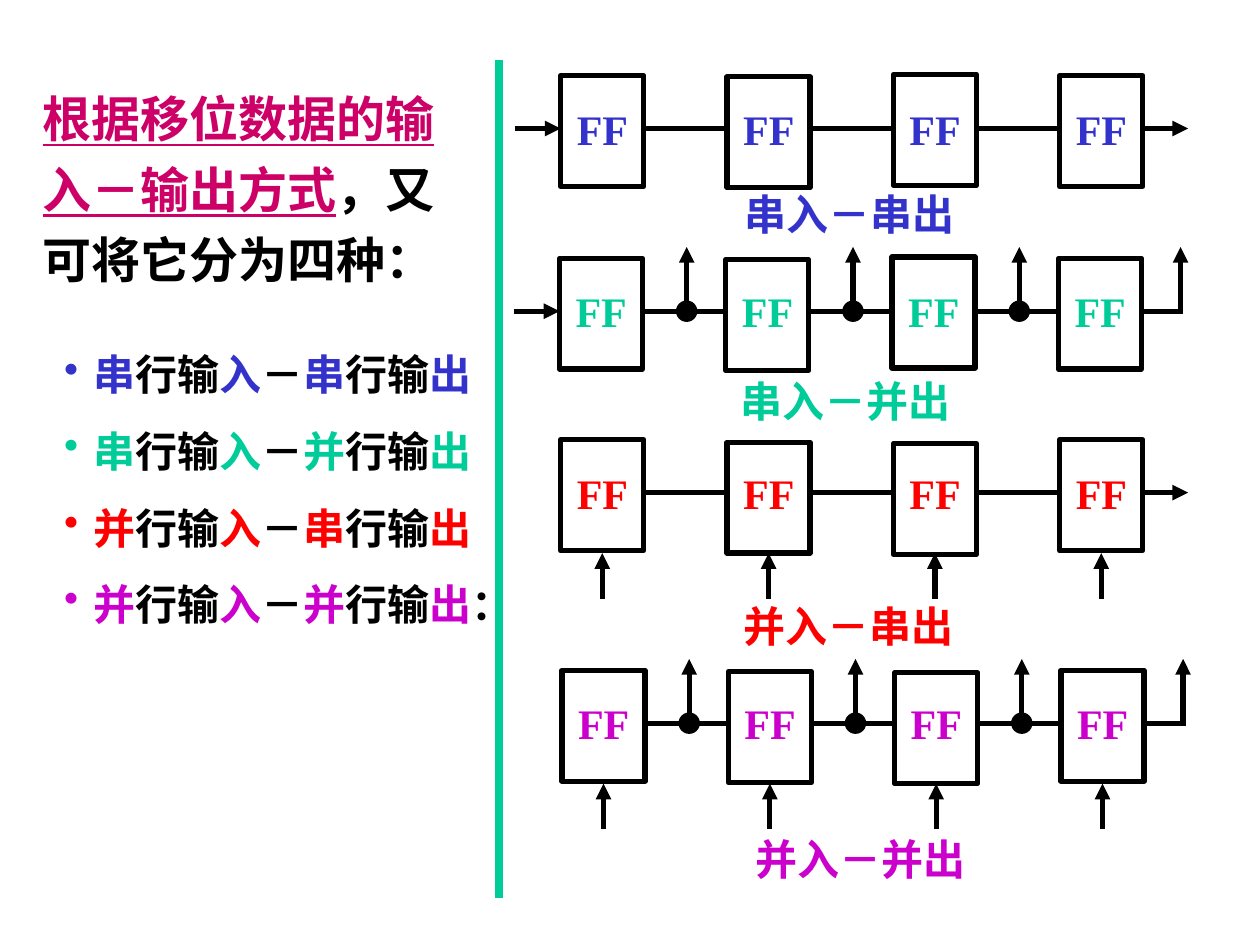
from pptx import Presentation
from pptx.dml.color import RGBColor
from pptx.enum.shapes import MSO_CONNECTOR, MSO_SHAPE
from pptx.oxml.ns import qn
from pptx.util import Inches, Pt
from lxml.etree import SubElement

BLACK = RGBColor(0x00, 0x00, 0x00)
BLUE = RGBColor(0x33, 0x33, 0xCC)
GREEN = RGBColor(0x00, 0xCC, 0x99)
RED = RGBColor(0xFF, 0x00, 0x00)
PURPLE = RGBColor(0xCC, 0x00, 0xCC)
CRIMSON = RGBColor(0xCC, 0x00, 0x66)
FONT = "Times New Roman"

CELLS, PITCH = 4, 1.32
CELL_WIDTH, CELL_HEIGHT = 0.66, 0.88
DOT = 0.16


def add_bullet(para, color, indent=0.23):
    props = para._p.get_or_add_pPr()
    props.set("marL", str(Inches(indent)))
    props.set("indent", str(-Inches(indent)))
    bullet_color = SubElement(props, qn("a:buClr"))
    SubElement(bullet_color, qn("a:srgbClr")).set("val", str(color))
    SubElement(props, qn("a:buChar")).set("char", "•")


def add_text(parent, box, paragraphs, size=24, before=15, spacing=None,
             bullets=None, underline_color=None):
    """Each paragraph is a list of (text, colour) spans."""
    frame = parent.shapes.add_textbox(*map(Inches, box)).text_frame
    frame.word_wrap = True
    for index, spans in enumerate(paragraphs):
        para = frame.add_paragraph() if index else frame.paragraphs[0]
        para.space_before = Pt(before)
        if spacing:
            para.line_spacing = spacing
        if bullets:
            add_bullet(para, bullets[index])
        for text, color in spans:
            span = para.add_run()
            span.text = text
            span.font.name = FONT
            span.font.size = Pt(size)
            span.font.bold = True
            span.font.color.rgb = color
            if color == underline_color:
                span.font.underline = True


def add_line(parent, start, end, color=BLACK, width=3, arrow=False):
    line = parent.shapes.add_connector(
        MSO_CONNECTOR.STRAIGHT, *map(Inches, (*start, *end)))
    line.line.color.rgb = color
    line.line.width = Pt(width)
    if arrow:
        SubElement(line.line._get_or_add_ln(), qn("a:tailEnd")).set("type", "triangle")
    SubElement(line._element.spPr, qn("a:effectLst"))


def add_outline(parent, kind, box, width, fill=None):
    shape = parent.shapes.add_shape(kind, *map(Inches, box))
    shape.shadow.inherit = False
    shape.line.color.rgb = BLACK
    shape.line.width = Pt(width)
    if fill is None:
        shape.fill.background()
    else:
        shape.fill.solid()
        shape.fill.fore_color.rgb = fill


def draw_register(page, left, top, color, drops, parallel_in, parallel_out):
    """A row of four flip-flops with its inputs and outputs."""
    group = page.shapes.add_group_shape()
    wire = top + 0.42
    for index, drop in enumerate(drops):
        x = left + index * PITCH
        right = x + CELL_WIDTH
        last = index == CELLS - 1
        add_outline(group, MSO_SHAPE.RECTANGLE,
                    (x, top + drop, CELL_WIDTH, CELL_HEIGHT), 3)
        add_text(group, (x + 0.03, top + 0.17, 0.73, 0.5), [[("FF", color)]])

        # Wire to the next cell, or the output of the row
        if not last:
            add_line(group, (right + 0.02, wire), (x + PITCH, wire))
        elif parallel_out:
            add_line(group, (right, wire), (right + 0.33, wire))
        else:
            add_line(group, (right, wire), (right + 0.36, wire), arrow=True)

        # Parallel output, with a junction between cells
        if parallel_out:
            tap = x + (0.97 if last else 1.01)
            add_line(group, (tap, wire), (tap, wire - 0.51), arrow=True)
            if not last:
                add_outline(group, MSO_SHAPE.OVAL,
                            (tap - DOT / 2, wire - DOT / 2, DOT, DOT), 0.75, BLACK)

        if parallel_in:
            pin = x + CELL_WIDTH / 2
            add_line(group, (pin, top + 1.26), (pin, top + 0.9), arrow=True)
    if not parallel_in:
        add_line(group, (left - 0.36, wire), (left, wire), arrow=True)


def draw_heading(page, box):
    add_text(page, box,
             [[("根据移位数据的输入－输出方式", CRIMSON), ("，又可将它分为四种：", BLACK)]],
             size=28, before=17.5, spacing=1.2, underline_color=CRIMSON)


def draw_modes(page, box, modes):
    paragraphs = []
    for source, target, color, ending in modes:
        spans = [(source, color), ("行输", BLACK), ("入", color), ("－", BLACK),
                 (target, color), ("行输", BLACK), ("出", color)]
        if ending:
            spans.append((ending, BLACK))
        paragraphs.append(spans)
    add_text(page, box, paragraphs, bullets=[mode[2] for mode in modes])


def main():
    deck = Presentation()
    deck.slide_width, deck.slide_height = Inches(10), Inches(7.5)
    page = deck.slides.add_slide(deck.slide_layouts[6])

    # Left column
    draw_heading(page, (0.24, 0.56, 3.46, 1.78))
    modes = [("串", "串", BLUE, ""), ("串", "并", GREEN, ""),
             ("并", "串", RED, ""), ("并", "并", PURPLE, "：")]
    draw_modes(page, (0.41, 2.72, 3.98, 2.33), modes)
    add_line(page, (3.96, 0.48), (3.96, 7.13), color=GREEN, width=4.5)

    # Registers: left, top, cell drops, caption left and top
    places = [(4.45, 0.6, (0, 0.01, -0.01, 0), 5.81, 1.45),
              (4.44, 2.05, (0, 0.01, -0.01, 0), 5.78, 2.93),
              (4.45, 3.49, (0, 0.02, 0.03, 0), 5.8, 4.72),
              (4.46, 5.32, (0, 0.01, 0.02, 0), 5.9, 6.57)]
    for mode, place in zip(modes, places):
        source, target, color, _ = mode
        left, top, drops, caption_left, caption_top = place
        draw_register(page, left, top, color, drops,
                      parallel_in=source == "并", parallel_out=target == "并")
        add_text(page, (caption_left, caption_top, 2.05, 0.5),
                 [[(f"{source}入－{target}出", color)]])

    deck.save("out.pptx")


if __name__ == "__main__":
    main()
